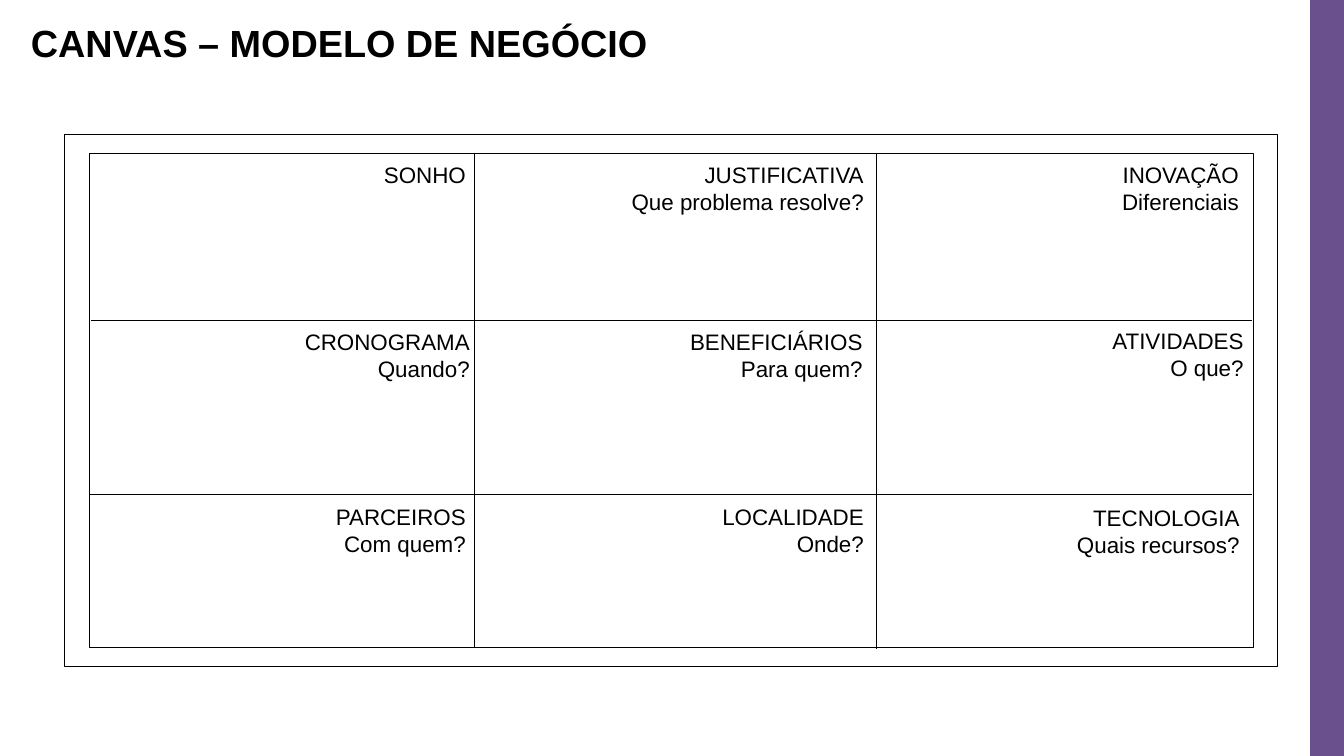
from lxml.etree import SubElement
from pptx import Presentation
from pptx.dml.color import RGBColor
from pptx.enum.shapes import MSO_CONNECTOR as Connector, MSO_SHAPE as Shape
from pptx.enum.text import MSO_AUTO_SIZE as AutoSize, PP_ALIGN as Align
from pptx.oxml.ns import qn
from pptx.util import Cm, Pt

BLACK = RGBColor(0x00, 0x00, 0x00)
PURPLE = RGBColor(0x6A, 0x51, 0x8E)

WIDTH, HEIGHT = 33.87, 19.05
BAR_LEFT = 33.02
GRID_LEFT, GRID_TOP, GRID_WIDTH, GRID_HEIGHT = 2.26, 3.86, 29.34, 12.47
COLUMN_LINES = [(11.96, 3.86), (22.1, 3.89)]
ROW_LINES = [(8.08, 2.29), (12.47, 2.26)]
LABEL_WIDTH = 7.54

LABEL_ROWS = [
    (3.94, [(4.45, 0, ["SONHO"]),
            (14.48, 0, ["JUSTIFICATIVA", "Que problema resolve?"]),
            (23.93, 0, ["INOVAÇÃO", "Diferenciais"])]),
    (8.15, [(4.55, 0, ["CRONOGRAMA", "Quando?"]),
            (14.45, 0, ["BENEFICIÁRIOS", "Para quem?"]),
            (24.05, -0.04, ["ATIVIDADES", "O que?"])]),
    (12.55, [(4.45, 0, ["PARCEIROS", "Com quem?"]),
             (14.48, 0, ["LOCALIDADE", "Onde?"]),
             (23.95, 0.02, ["TECNOLOGIA", "Quais recursos?"])]),
]


class CanvasPage:
    """Draws the elements of the business canvas on one page in a shared style."""

    font_name = "Arial"
    line_width = Pt(0.75)

    def __init__(self, deck):
        self.page = deck.slides.add_slide(deck.slide_layouts[6])

    def rectangle(self, left, top, width, height, fill=None):
        box = self.page.shapes.add_shape(
            Shape.RECTANGLE, Cm(left), Cm(top), Cm(width), Cm(height))
        box.shadow.inherit = False
        if fill is None:
            box.fill.background()
            box.line.color.rgb = BLACK
            box.line.width = self.line_width
        else:
            box.fill.solid()
            box.fill.fore_color.rgb = fill
            box.line.fill.background()

    def line(self, x1, y1, x2, y2):
        rule = self.page.shapes.add_connector(
            Connector.STRAIGHT, Cm(x1), Cm(y1), Cm(x2), Cm(y2))
        rule.line.color.rgb = BLACK
        rule.line.width = self.line_width
        SubElement(rule._element.spPr, qn("a:effectLst"))

    def text(self, left, top, width, height, lines, align=Align.LEFT, **font):
        box = self.page.shapes.add_textbox(Cm(left), Cm(top), Cm(width), Cm(height))
        frame = box.text_frame
        frame.word_wrap = True
        frame.auto_size = AutoSize.SHAPE_TO_FIT_TEXT
        frame.text = "\n".join(lines)
        values = {"name": self.font_name, "size": Pt(16), **font}
        for para in frame.paragraphs:
            para.alignment = align
            for span in para.runs:
                span.font.color.rgb = BLACK
                for key, value in values.items():
                    setattr(span.font, key, value)


def main():
    deck = Presentation()
    deck.slide_width, deck.slide_height = Cm(WIDTH), Cm(HEIGHT)
    canvas = CanvasPage(deck)

    canvas.rectangle(BAR_LEFT, 0, WIDTH - BAR_LEFT, HEIGHT, PURPLE)
    canvas.text(0.53, 0.38, 32.36, 1.42, ["CANVAS – MODELO DE NEGÓCIO"],
                size=Pt(27), bold=True)

    canvas.rectangle(1.63, 3.4, 30.56, 13.39)
    canvas.rectangle(GRID_LEFT, GRID_TOP, GRID_WIDTH, GRID_HEIGHT)
    for x, top in COLUMN_LINES:
        canvas.line(x, top, x, top + GRID_HEIGHT)
    for y, left in ROW_LINES:
        canvas.line(left, y, 31.55, y)

    for top, labels in LABEL_ROWS:
        for left, shift, lines in labels:
            height = 0.26 + 0.68 * len(lines)
            canvas.text(left, top + shift, LABEL_WIDTH, height, lines, Align.RIGHT)

    deck.save("out.pptx")


if __name__ == "__main__":
    main()
